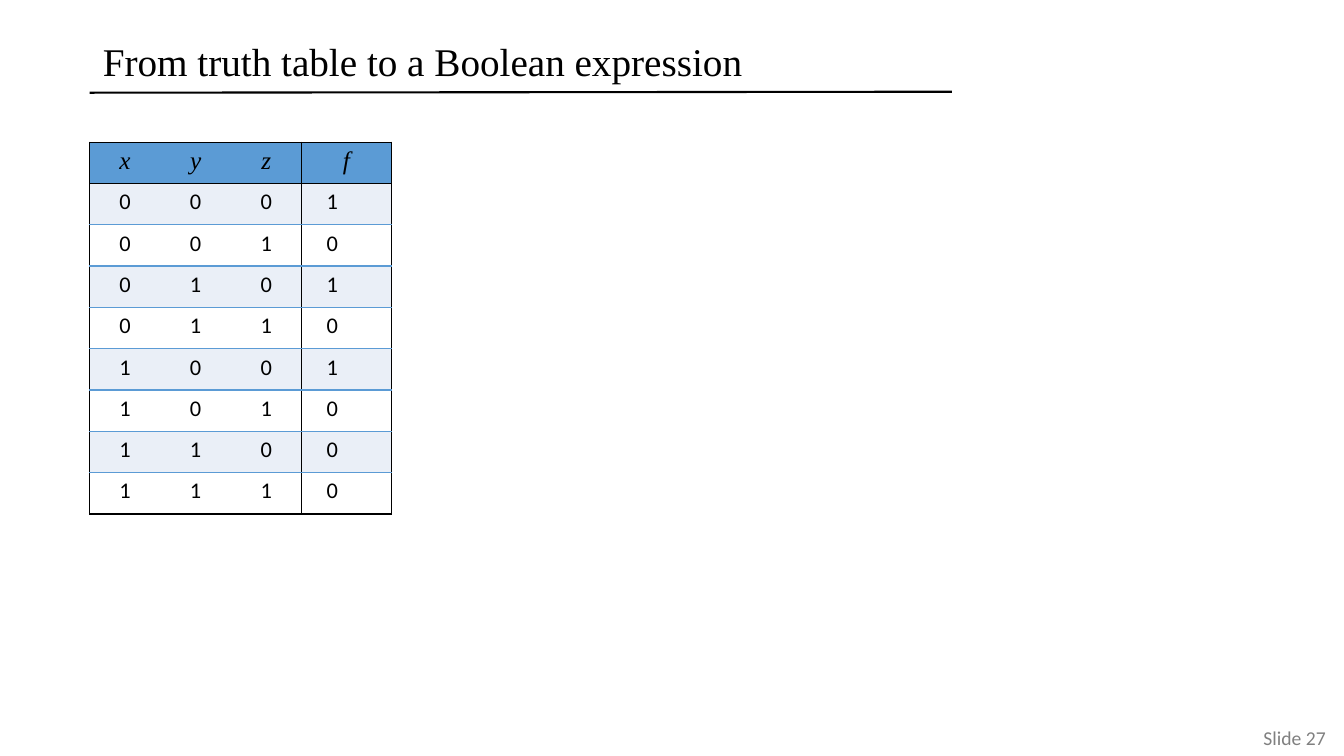
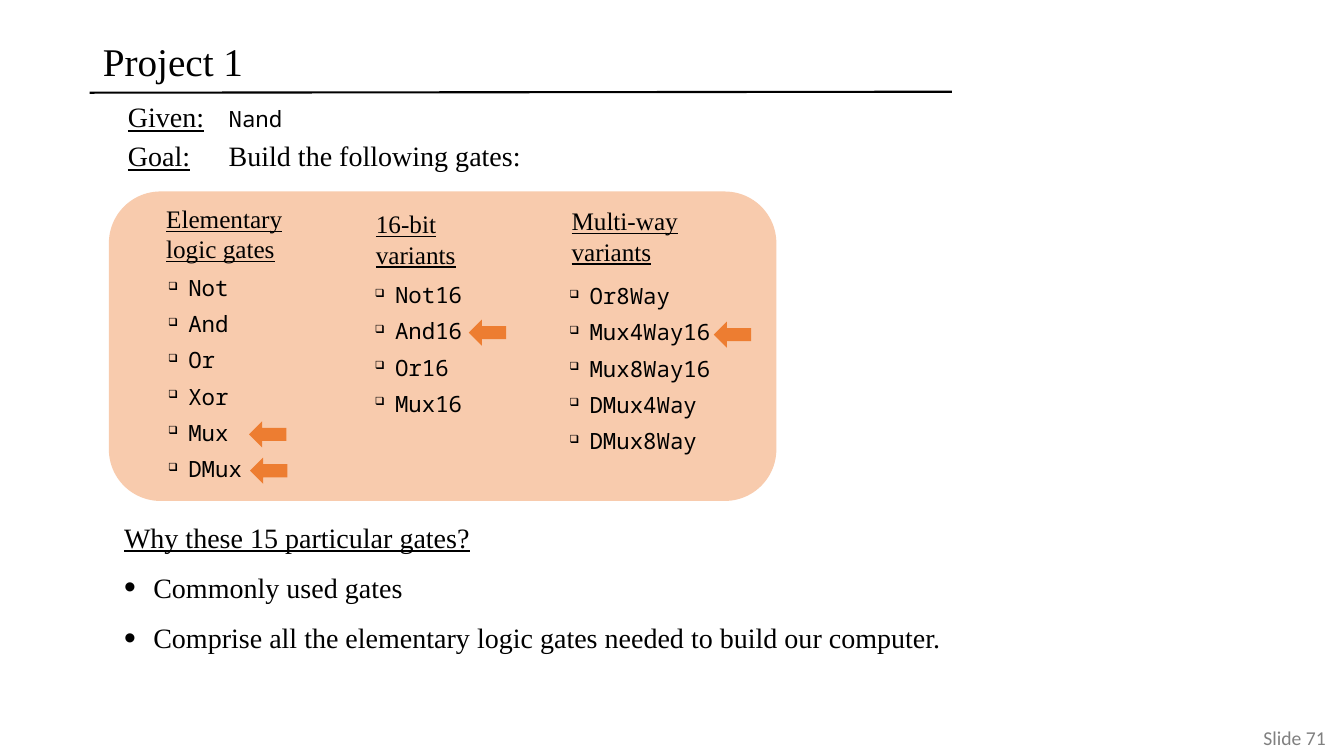
from dataclasses import dataclass
from itertools import product

from lxml.etree import SubElement
from pptx import Presentation
from pptx.dml.color import RGBColor
from pptx.enum.shapes import MSO_CONNECTOR, MSO_SHAPE
from pptx.enum.text import MSO_ANCHOR, MSO_AUTO_SIZE, PP_ALIGN
from pptx.oxml.ns import qn
from pptx.util import Inches, Pt


@dataclass(frozen=True)
class Theme:
    black: RGBColor = RGBColor.from_string("000000")
    gray: RGBColor = RGBColor.from_string("808080")
    white: RGBColor = RGBColor.from_string("FFFFFF")
    blue: RGBColor = RGBColor.from_string("5B9BD5")
    pale_blue: RGBColor = RGBColor.from_string("EAEFF7")
    peach: RGBColor = RGBColor.from_string("F8CBAD")
    orange: RGBColor = RGBColor.from_string("ED7D31")
    serif: str = "Times New Roman"
    sans: str = "Calibri"
    mono: str = "Noto Sans Mono"
    title_size: int = 28
    body_size: int = 20
    heading_size: int = 18
    item_size: int = 16
    footer_size: int = 14


theme = Theme()


def add_text_box(slide, left, top, width, height):
    box = slide.shapes.add_textbox(Inches(left), Inches(top), Inches(width), Inches(height))
    box.text_frame.word_wrap = True
    return box.text_frame


def format_paragraph(paragraph, face, size, color=theme.black, underline=None,
                     before=0, bullet=None, bullet_percent=100, indent=0):
    """Set font, spacing and hanging bullet; without a bullet, clear the inherited one."""
    properties = paragraph._p.get_or_add_pPr()
    properties.set("marL", str(Inches(indent)))
    properties.set("indent", str(-Inches(indent)))
    if bullet:
        SubElement(properties, qn("a:buSzPct")).set("val", str(bullet_percent * 1000))
        SubElement(properties, qn("a:buChar")).set("char", bullet)
    else:
        SubElement(properties, qn("a:buNone"))
    paragraph.space_before = Pt(before)
    font = paragraph.font
    font.name = face
    font.size = Pt(size)
    font.color.rgb = color
    font.underline = underline


presentation = Presentation()
presentation.slide_width = Inches(13.33)
presentation.slide_height = Inches(7.5)
master_title = presentation.slide_master.placeholders[0]
master_title.left, master_title.top = Inches(0.92), Inches(0.32)
master_title.width, master_title.height = Inches(8.53), Inches(0.63)

# Shared title, rule and slide number
TITLE_AND_CONTENT, TITLE_ONLY = 1, 5
slides = []
for layout, title, number in (
    (TITLE_ONLY, "From truth table to a Boolean expression", 27),
    (TITLE_AND_CONTENT, "Project 1", 71),
):
    slide = presentation.slides.add_slide(presentation.slide_layouts[layout])
    slides.append(slide)

    frame = slide.shapes.title.text_frame
    frame.text = title
    frame.auto_size = MSO_AUTO_SIZE.NONE
    frame.vertical_anchor = MSO_ANCHOR.MIDDLE
    paragraph = frame.paragraphs[0]
    format_paragraph(paragraph, theme.serif, theme.title_size)
    paragraph.alignment = PP_ALIGN.LEFT
    paragraph.line_spacing = 0.9

    rule = slide.shapes.add_connector(
        MSO_CONNECTOR.STRAIGHT, Inches(0.89), Inches(0.92), Inches(9.44), Inches(0.91))
    rule.line.color.rgb = theme.black
    rule.line.width = Pt(1.5)
    SubElement(rule.element.spPr, qn("a:effectLst"))

    frame = add_text_box(slide, 0.9, 7.15, 12.25, 0.34)
    frame.text = f"Slide {number}"
    frame.margin_left = frame.margin_right = 0
    frame.vertical_anchor = MSO_ANCHOR.MIDDLE
    paragraph = frame.paragraphs[0]
    format_paragraph(paragraph, theme.sans, theme.footer_size, theme.gray)
    paragraph.alignment = PP_ALIGN.RIGHT

truth_slide, project_slide = slides

# Truth table
header = ("x", "y", "z", "f")
outputs = "10101000"
rows = [header] + [(*bits, output) for bits, output in zip(product("01", repeat=3), outputs)]
column_widths = (0.7, 0.7, 0.7, 0.89)
row_height = 0.41
last_row, last_column = len(rows) - 1, len(header) - 1

table = truth_slide.shapes.add_table(
    len(rows), len(header), Inches(0.89), Inches(1.41),
    Inches(sum(column_widths)), Inches(row_height * len(rows))).table
table.first_row = table.horz_banding = False
for column, width in zip(table.columns, column_widths):
    column.width = Inches(width)

for row_index, values in enumerate(rows):
    table.rows[row_index].height = Inches(row_height)
    is_header = row_index == 0
    for column_index, value in enumerate(values):
        cell = table.cell(row_index, column_index)
        is_output = column_index == last_column
        borders = {
            "a:lnL": theme.black if column_index in (0, last_column) else None,
            "a:lnR": theme.black if column_index >= last_column - 1 else None,
            "a:lnT": theme.black if row_index <= 1 else theme.blue,
            "a:lnB": theme.black if row_index in (0, last_row) else theme.blue,
        }
        cell_properties = cell._tc.get_or_add_tcPr()
        for side, color in borders.items():
            border = SubElement(cell_properties, qn(side))
            border.set("w", str(Pt(1)))
            if color is None:
                SubElement(border, qn("a:noFill"))
            else:
                fill = SubElement(border, qn("a:solidFill"))
                SubElement(fill, qn("a:srgbClr")).set("val", str(color))

        cell.fill.solid()
        if is_header:
            cell.fill.fore_color.rgb = theme.blue
        else:
            cell.fill.fore_color.rgb = theme.pale_blue if row_index % 2 else theme.white

        cell.text = value
        paragraph = cell.text_frame.paragraphs[0]
        if is_header:
            format_paragraph(paragraph, theme.serif, theme.heading_size)
            paragraph.font.italic = True
        else:
            format_paragraph(paragraph, theme.sans, theme.item_size)
        if is_output and not is_header:
            cell.margin_left = Inches(0.25)
            paragraph.alignment = PP_ALIGN.LEFT
        else:
            paragraph.alignment = PP_ALIGN.CENTER

# Given and goal
frame = add_text_box(project_slide, 1.17, 0.94, 6.34, 0.63)
for index, (label, text) in enumerate(
        (("Given:", "Nand"), ("Goal:", "Build the following gates:"))):
    paragraph = frame.add_paragraph() if index else frame.paragraphs[0]
    label_run = paragraph.add_run()
    label_run.text = label
    label_run.font.underline = True
    text_run = paragraph.add_run()
    text_run.text = "\t" + text
    if text == "Nand":
        text_run.font.name = theme.mono
        text_run.font.size = Pt(theme.item_size)
    format_paragraph(paragraph, theme.serif, theme.body_size, before=4)
    tab_list = paragraph._p.pPr.makeelement(qn("a:tabLst"))
    tab = SubElement(tab_list, qn("a:tab"))
    tab.set("pos", str(Inches(0.97)))
    tab.set("algn", "l")
    paragraph._p.pPr.find(qn("a:defRPr")).addprevious(tab_list)

# Reasons
body = project_slide.placeholders[1]
body.left, body.top = Inches(1.13), Inches(5.11)
body.width, body.height = Inches(9.31), Inches(2.18)
frame = body.text_frame
frame.auto_size = MSO_AUTO_SIZE.NONE
frame.text = "\n".join((
    "Why these 15 particular gates?",
    "Commonly used gates",
    "Comprise all the elementary logic gates needed to build our computer.",
))
question, *reasons = frame.paragraphs
format_paragraph(question, theme.serif, theme.body_size, underline=True, before=12)
for reason in reasons:
    format_paragraph(reason, theme.serif, theme.body_size, before=12,
                     bullet="•", bullet_percent=120, indent=0.29)

# Gate panel: heading box, list box, space before the first gate, gates
panel = project_slide.shapes.add_shape(
    MSO_SHAPE.ROUNDED_RECTANGLE, Inches(1.08), Inches(1.9), Inches(6.62), Inches(3.07))
panel.shadow.inherit = False
panel.fill.solid()
panel.fill.fore_color.rgb = theme.peach
panel.line.fill.background()

gate_groups = (
    ("Elementary\nlogic gates", (1.55, 1.97, 1.9, 0.64), (1.57, 2.67, 2.47, 2.57), 6.7,
     ("Not", "And", "Or", "Xor", "Mux", "DMux")),
    ("16-bit\nvariants", (3.63, 2.02, 1.44, 0.71), (3.62, 2.74, 1.42, 1.99), 12.7,
     ("Not16", "And16", "Or16", "Mux16")),
    ("Multi-way\nvariants", (5.57, 1.99, 2.69, 0.71), (5.55, 2.75, 1.86, 2.48), 12.7,
     ("Or8Way", "Mux4Way16", "Mux8Way16", "DMux4Way", "DMux8Way")),
)
for heading, heading_box, list_box, first_before, gates in gate_groups:
    frame = add_text_box(project_slide, *heading_box)
    frame.text = heading
    for paragraph in frame.paragraphs:
        format_paragraph(paragraph, theme.serif, theme.heading_size, underline=True)

    frame = add_text_box(project_slide, *list_box)
    frame.text = "\n".join(gates)
    for index, paragraph in enumerate(frame.paragraphs):
        format_paragraph(paragraph, theme.mono, theme.item_size,
                         before=6.7 if index else first_before,
                         bullet="❑", bullet_percent=50, indent=0.2)

# Arrows beside Mux, DMux, And16 and Mux4Way16
for left, top in ((2.47, 4.18), (2.48, 4.54), (4.65, 3.17), (7.08, 3.19)):
    arrow = project_slide.shapes.add_shape(
        MSO_SHAPE.LEFT_ARROW, Inches(left), Inches(top), Inches(0.37), Inches(0.26))
    arrow.shadow.inherit = False
    arrow.fill.solid()
    arrow.fill.fore_color.rgb = theme.orange
    arrow.line.fill.background()

presentation.save("out.pptx")
